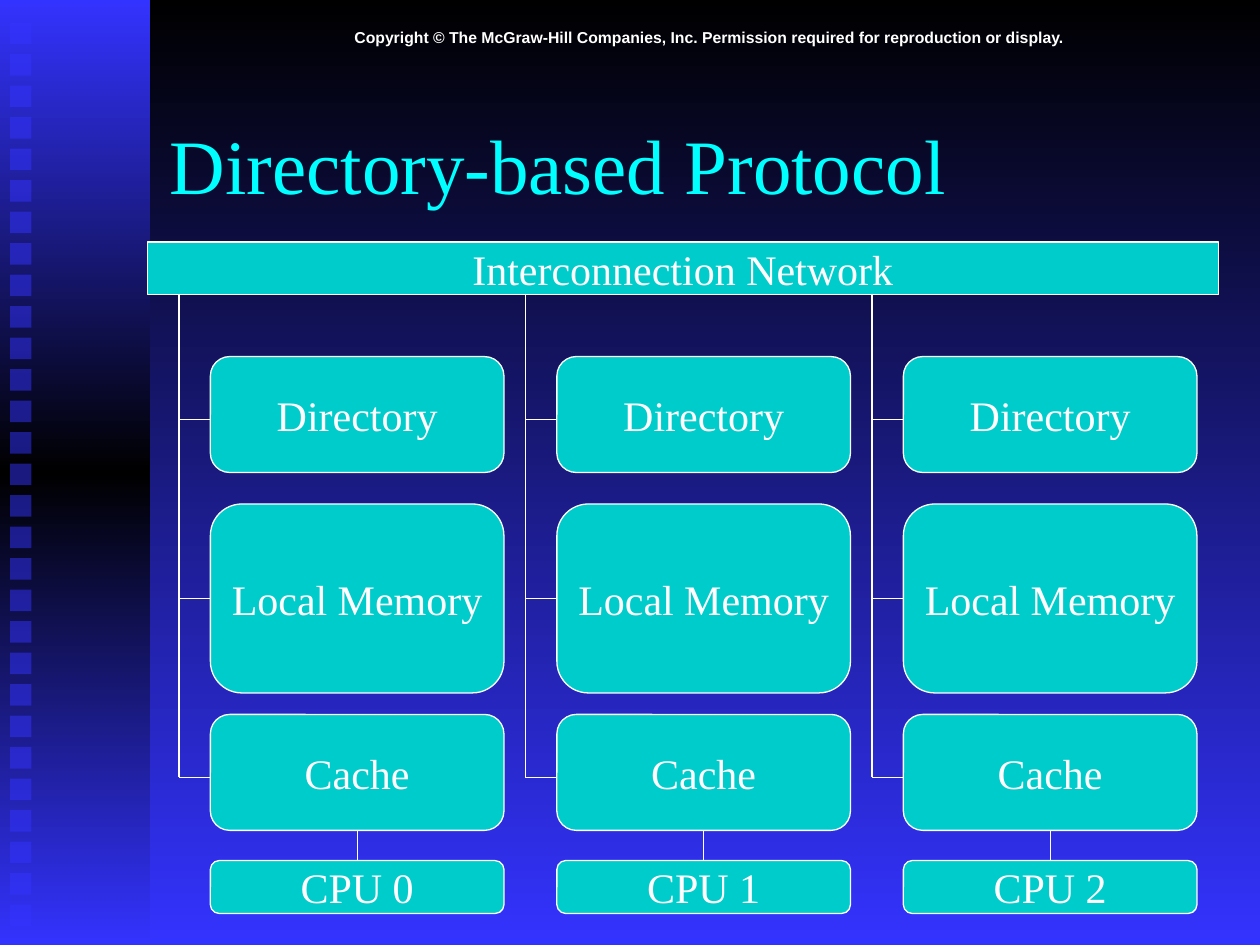
from copy import deepcopy
from typing import NamedTuple

from lxml.etree import SubElement
from pptx import Presentation
from pptx.dml.color import RGBColor
from pptx.enum.shapes import MSO_CONNECTOR, MSO_SHAPE
from pptx.enum.text import MSO_ANCHOR, PP_ALIGN
from pptx.oxml.ns import qn
from pptx.util import Inches, Pt

BLACK = RGBColor(0x00, 0x00, 0x00)
BLUE = RGBColor(0x33, 0x33, 0xFF)
CYAN = RGBColor(0x00, 0xFF, 0xFF)
TEAL = RGBColor(0x00, 0xCC, 0xCC)
WHITE = RGBColor(0xFF, 0xFF, 0xFF)

SQUARE_COUNT = 29
SQUARE_PITCH = 0.25
NODE_COUNT = 3
NODE_LEFT = 1.67
NODE_PITCH = 2.75
NODE_WIDTH = 2.33
BUS_OFFSET = 0.25
NETWORK_BOTTOM = 2.33
CPU_TOP = 6.83


class Unit(NamedTuple):
    label: str
    top: float
    height: float
    branch: float  # height at which the unit joins the bus


UNITS = (
    Unit("Directory", 2.83, 0.92, 3.33),
    Unit("Local Memory", 4, 1.5, 4.75),
    Unit("Cache", 5.67, 0.92, 6.17),
)


def write_text(shape, text: str, *, size: float = 24, color: RGBColor = WHITE,
               font: str = "Times New Roman", bold: bool = False, wrap: bool = False,
               align: PP_ALIGN = PP_ALIGN.CENTER,
               anchor: MSO_ANCHOR = MSO_ANCHOR.MIDDLE) -> None:
    frame = shape.text_frame
    frame.word_wrap = wrap
    frame.vertical_anchor = anchor
    paragraph = frame.paragraphs[0]
    paragraph.alignment = align
    run = paragraph.add_run()
    run.text = text
    run.font.name = font
    run.font.size = Pt(size)
    run.font.bold = bold
    run.font.color.rgb = color


def add_plain_shape(slide, kind: MSO_SHAPE, left: float, top: float,
                    width: float, height: float):
    shape = slide.shapes.add_shape(kind, Inches(left), Inches(top),
                                   Inches(width), Inches(height))
    shape.shadow.inherit = False
    shape.line.fill.background()
    return shape


def add_box(slide, text: str, left: float, top: float, width: float, height: float,
            kind: MSO_SHAPE = MSO_SHAPE.ROUNDED_RECTANGLE) -> None:
    box = add_plain_shape(slide, kind, left, top, width, height)
    box.fill.solid()
    box.fill.fore_color.rgb = TEAL
    box.line.color.rgb = WHITE
    box.line.width = Pt(0.75)
    write_text(box, text)


def add_line(slide, start_x: float, start_y: float, end_x: float, end_y: float) -> None:
    line = slide.shapes.add_connector(MSO_CONNECTOR.STRAIGHT, Inches(start_x),
                                      Inches(start_y), Inches(end_x), Inches(end_y))
    line.line.color.rgb = WHITE
    line.line.width = Pt(0.75)
    SubElement(line.element.spPr, qn("a:effectLst"))


def color_stops(fill, colors: tuple[RGBColor, ...]) -> None:
    fill.gradient_angle = 270
    for index, (stop, color) in enumerate(zip(fill.gradient_stops, colors)):
        stop.color.rgb = color
        stop.position = index / (len(colors) - 1)


def add_sidebar(slide) -> None:
    band = add_plain_shape(slide, MSO_SHAPE.RECTANGLE, 0, 0, 1.19, 7.5)
    band.fill.gradient()
    stop_list = band.element.spPr.find(".//" + qn("a:gsLst"))
    stop_list.append(deepcopy(stop_list[0]))
    color_stops(band.fill, (BLUE, BLACK, BLUE))

    for index in range(SQUARE_COUNT):
        square = add_plain_shape(slide, MSO_SHAPE.RECTANGLE, 0.08,
                                 0.18 + index * SQUARE_PITCH, 0.17, 0.17)
        square.fill.solid()
        square.fill.fore_color.rgb = BLUE
        color = square.element.spPr.find(".//" + qn("a:srgbClr"))
        SubElement(color, qn("a:alpha"), val="50000")


def add_node(slide, number: int) -> None:
    left = NODE_LEFT + number * NODE_PITCH
    bus = left - BUS_OFFSET
    center = left + NODE_WIDTH / 2
    add_line(slide, bus, NETWORK_BOTTOM, bus, UNITS[-1].branch)
    for unit in UNITS:
        add_box(slide, unit.label, left, unit.top, NODE_WIDTH, unit.height)
        add_line(slide, bus, unit.branch, left, unit.branch)
    add_box(slide, f"CPU {number}", left, CPU_TOP, NODE_WIDTH, 0.42)
    add_line(slide, center, UNITS[-1].top + UNITS[-1].height, center, CPU_TOP)


def main() -> None:
    presentation = Presentation()
    presentation.slide_width = Inches(10)
    presentation.slide_height = Inches(7.5)
    slide = presentation.slides.add_slide(presentation.slide_layouts[6])

    # Background and sidebar
    background = slide.background.fill
    background.gradient()
    color_stops(background, (BLACK, BLUE))
    add_sidebar(slide)

    # Copyright line and title
    notice = slide.shapes.add_textbox(Inches(1.25), Inches(0.17), Inches(8.75), Inches(0.25))
    write_text(notice, "Copyright © The McGraw-Hill Companies, Inc. "
               "Permission required for reproduction or display.",
               size=9, font="Arial", bold=True, wrap=True, anchor=MSO_ANCHOR.TOP)
    title = slide.shapes.add_textbox(Inches(1.25), Inches(0.67), Inches(8.5), Inches(1.25))
    write_text(title, "Directory-based Protocol", size=44, color=CYAN, wrap=True,
               align=PP_ALIGN.LEFT)

    # Network with its nodes
    add_box(slide, "Interconnection Network", 1.17, 1.92, 8.5, 0.42, MSO_SHAPE.RECTANGLE)
    for number in range(NODE_COUNT):
        add_node(slide, number)

    presentation.save("out.pptx")


if __name__ == "__main__":
    main()
